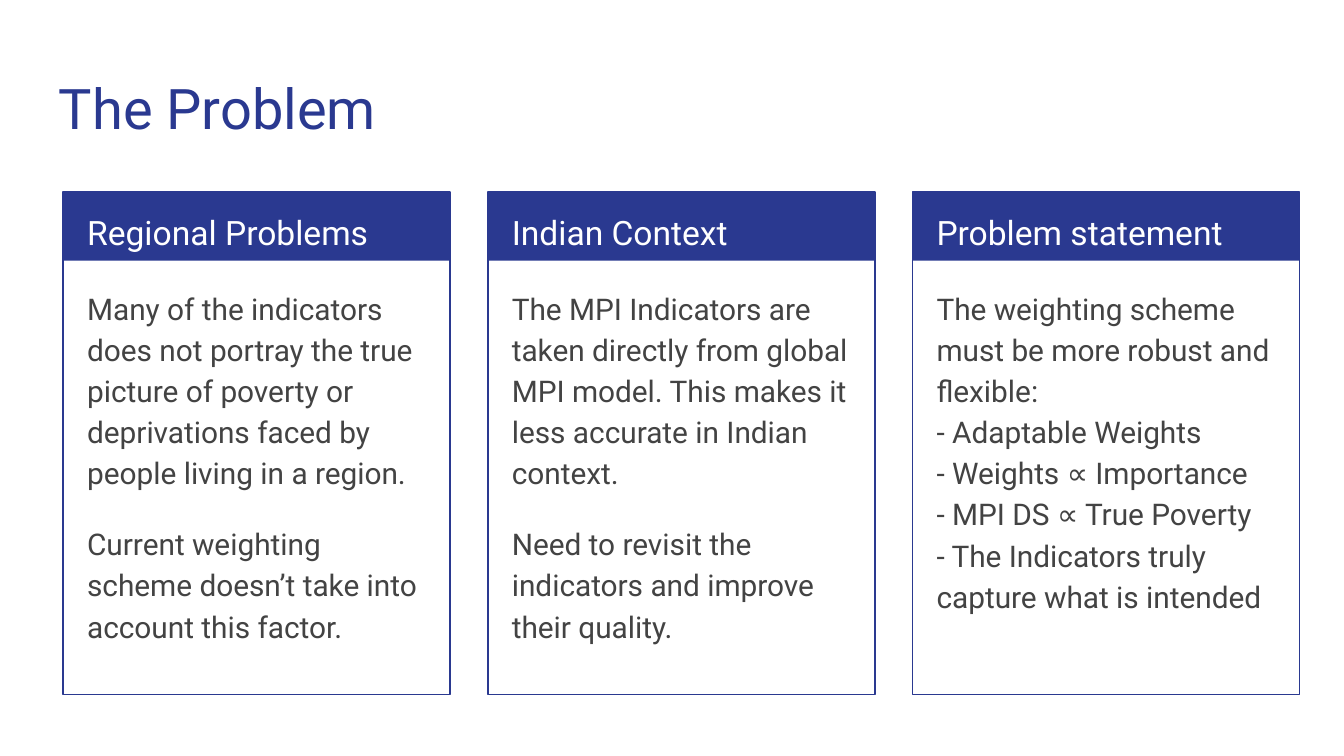
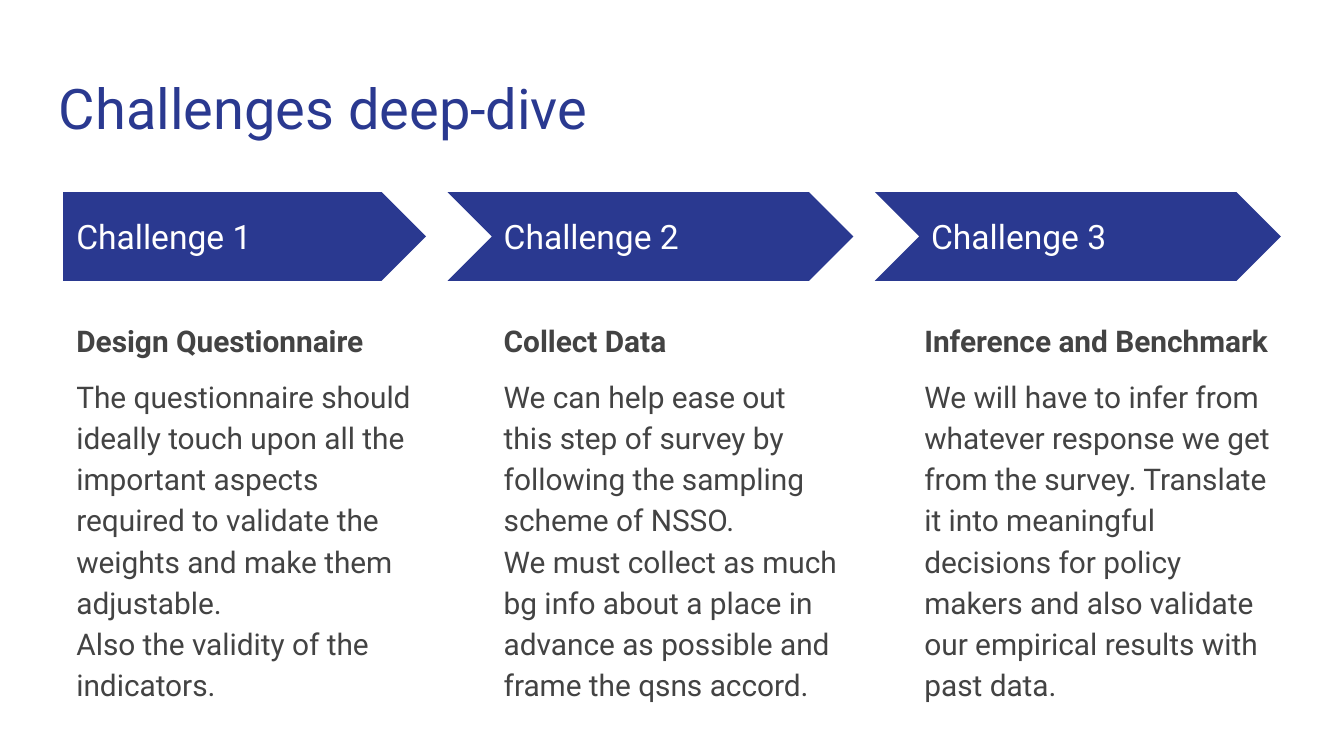
"""Build two slides: the problem in three cards and the challenges as a process."""
import copy

import pptx
import pptx.dml.color
import pptx.enum.shapes
import pptx.enum.text
import pptx.oxml.ns
import pptx.util

PX = pptx.util.Inches(1) // 100
NAVY = pptx.dml.color.RGBColor(0x2A, 0x39, 0x90)
GREY = pptx.dml.color.RGBColor(0x43, 0x43, 0x43)
WHITE = pptx.dml.color.RGBColor(0xFF, 0xFF, 0xFF)
FONT = "Roboto"
SHAPE = pptx.enum.shapes.MSO_SHAPE
ANCHOR = pptx.enum.text.MSO_ANCHOR

LEFT, TOP = 47, 143
CARD_WIDTH, CARD_HEIGHT, CARD_PITCH = 288, 374, 316
HEADER_HEIGHT = 51
STEP_WIDTH, STEP_HEIGHT, STEP_PITCH = 270, 66, 318
CHEVRON_WIDTH = 302

PROBLEM_TITLE = "The Problem"
PROBLEMS = [
    ("Regional Problems", [
        "Many of the indicators does not portray the true picture of poverty or "
        "deprivations faced by people living in a region.",
        "Current weighting scheme doesn’t take into account this factor.",
    ]),
    ("Indian Context", [
        "The MPI Indicators are taken directly from global MPI model. "
        "This makes it less accurate in Indian context.",
        "Need to revisit the indicators and improve their quality.",
    ]),
    ("Problem statement", [
        "The weighting scheme must be more robust and flexible:\n"
        "- Adaptable Weights\n"
        "- Weights ∝ Importance\n"
        "- MPI DS ∝ True Poverty\n"
        "- The Indicators truly capture what is intended",
    ]),
]

CHALLENGE_TITLE = "Challenges deep-dive"
CHALLENGES = [
    ("Challenge 1", "Design Questionnaire", 47, 270,
     "The questionnaire should ideally touch upon all the important aspects "
     "required to validate the weights and make them adjustable.\n"
     "Also the validity of the indicators."),
    ("Challenge 2", "Collect Data", 365, 270,
     "We can help ease out this step of survey by following the sampling "
     "scheme of NSSO.\n"
     "We must collect as much bg info about a place in advance as possible "
     "and frame the qsns accord."),
    ("Challenge 3", "Inference and Benchmark", 678, 277,
     "We will have to infer from whatever response we get from the survey. "
     "Translate it into meaningful decisions for policy makers and also "
     "validate our empirical results with past data."),
]


def scaled(box):
    return [length * PX for length in box]


def add_text(slide, box, paragraphs, size, color, line_spacing=None, gap=0,
             bold_first=False, anchor=ANCHOR.TOP):
    frame = slide.shapes.add_textbox(*scaled(box)).text_frame
    frame.word_wrap = True
    frame.vertical_anchor = anchor
    frame.margin_left = frame.margin_right = 10 * PX
    frame.margin_top = frame.margin_bottom = 10 * PX
    for index, text in enumerate(paragraphs):
        paragraph = frame.add_paragraph() if index else frame.paragraphs[0]
        paragraph.text = text
        paragraph.line_spacing = line_spacing
        if index:
            paragraph.space_before = paragraph.space_after = pptx.util.Pt(gap)
        for run in paragraph.runs:
            run.font.name = FONT
            run.font.size = pptx.util.Pt(size)
            run.font.color.rgb = color
            run.font.bold = bold_first and index == 0
        for line_break in paragraph._p.findall(pptx.oxml.ns.qn("a:br")):
            line_break.insert(0, copy.deepcopy(paragraph.runs[0]._r.rPr))


def add_band(slide, kind, box):
    band = slide.shapes.add_shape(kind, *scaled(box))
    band.shadow.inherit = False
    band.fill.solid()
    band.fill.fore_color.rgb = NAVY
    band.line.fill.background()


def add_frame(slide, box):
    frame = slide.shapes.add_shape(SHAPE.RECTANGLE, *scaled(box))
    frame.shadow.inherit = False
    frame.fill.background()
    frame.line.color.rgb = NAVY
    frame.line.width = pptx.util.Pt(0.75)


def add_titled_slide(deck, title):
    slide = deck.slides.add_slide(deck.slide_layouts[6])
    slide.background.fill.solid()
    slide.background.fill.fore_color.rgb = WHITE
    add_text(slide, (34, 45, 932, 66), [title], 30, NAVY)
    return slide


def build_problem(deck):
    slide = add_titled_slide(deck, PROBLEM_TITLE)
    for index, (heading, paragraphs) in enumerate(PROBLEMS):
        left = LEFT + index * CARD_PITCH
        add_band(slide, SHAPE.RECTANGLE, (left, TOP, CARD_WIDTH, HEADER_HEIGHT))
        add_frame(slide, (left, TOP, CARD_WIDTH, CARD_HEIGHT))
        add_text(slide, (left + 8, TOP, 273, 50), [heading], 18, WHITE, 1.15)
        add_text(slide, (left + 8, 202, 271, 306), paragraphs, 16, GREY, 1.15, gap=16)


def build_challenges(deck):
    slide = add_titled_slide(deck, CHALLENGE_TITLE)
    for index, (step, heading, body_left, body_width, body) in enumerate(CHALLENGES):
        left = LEFT + index * STEP_PITCH
        kind, width = (SHAPE.CHEVRON, CHEVRON_WIDTH) if index else (SHAPE.PENTAGON, STEP_WIDTH)
        add_band(slide, kind, (left + STEP_WIDTH - width, TOP, width, STEP_HEIGHT))
        add_text(slide, (left, 159, 247, 34), [step], 18, WHITE, anchor=ANCHOR.MIDDLE)
        add_text(slide, (body_left, 226, body_width, 290), [heading, body], 16, GREY,
                 1.15, gap=8, bold_first=True)


def main():
    deck = pptx.Presentation()
    deck.slide_width = 1000 * PX
    deck.slide_height = deck.slide_width * 9 // 16
    build_problem(deck)
    build_challenges(deck)
    deck.save("out.pptx")


if __name__ == "__main__":
    main()
